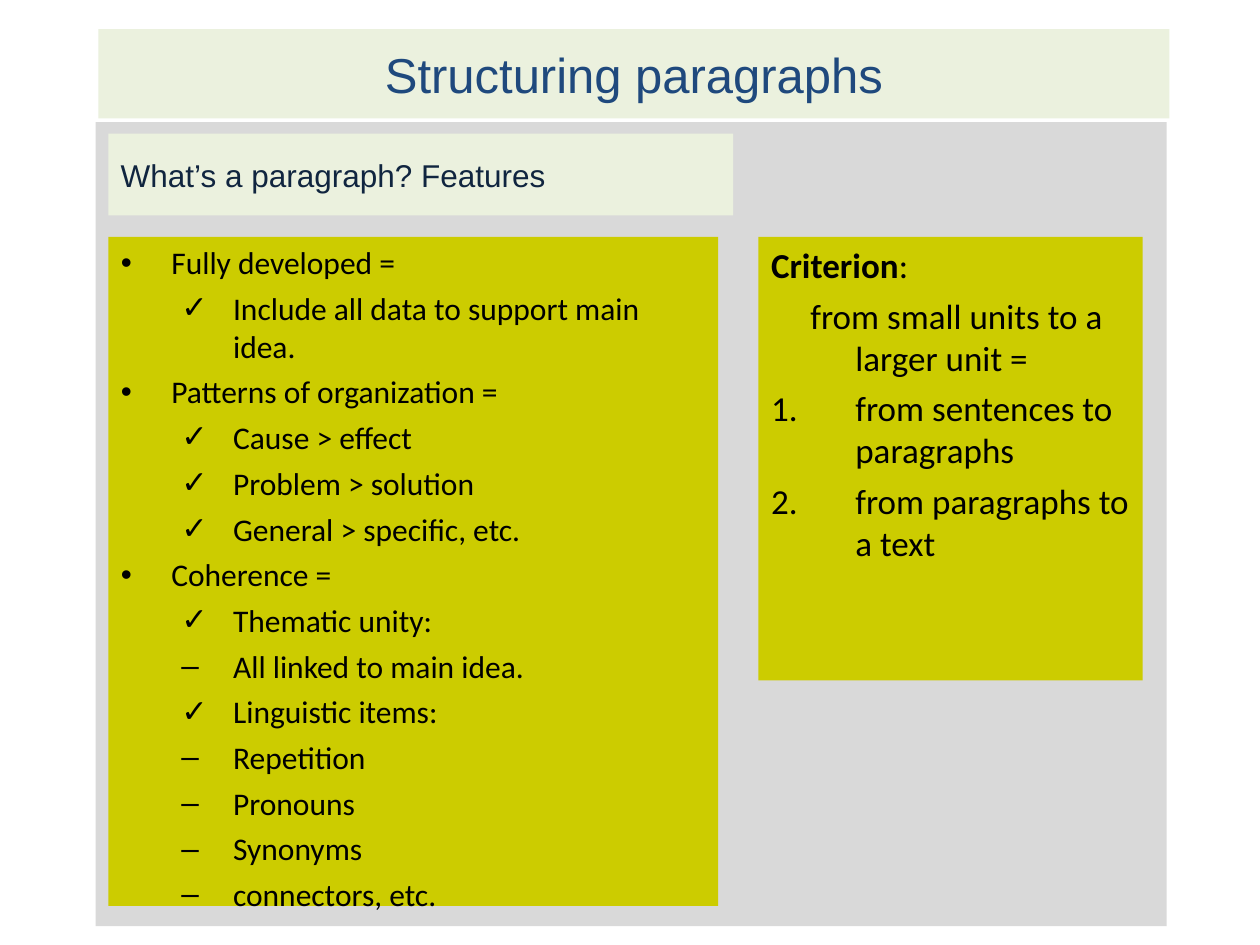
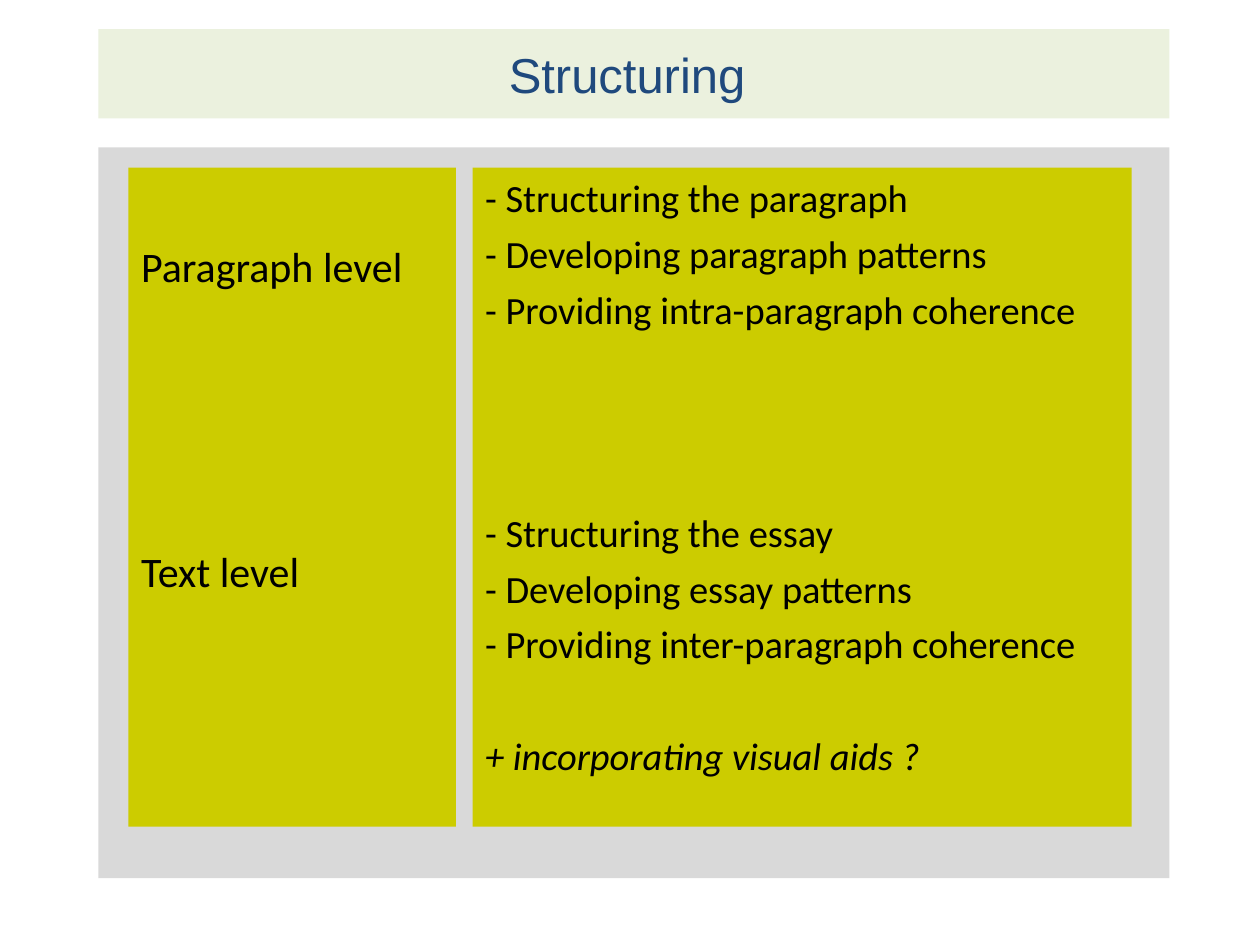
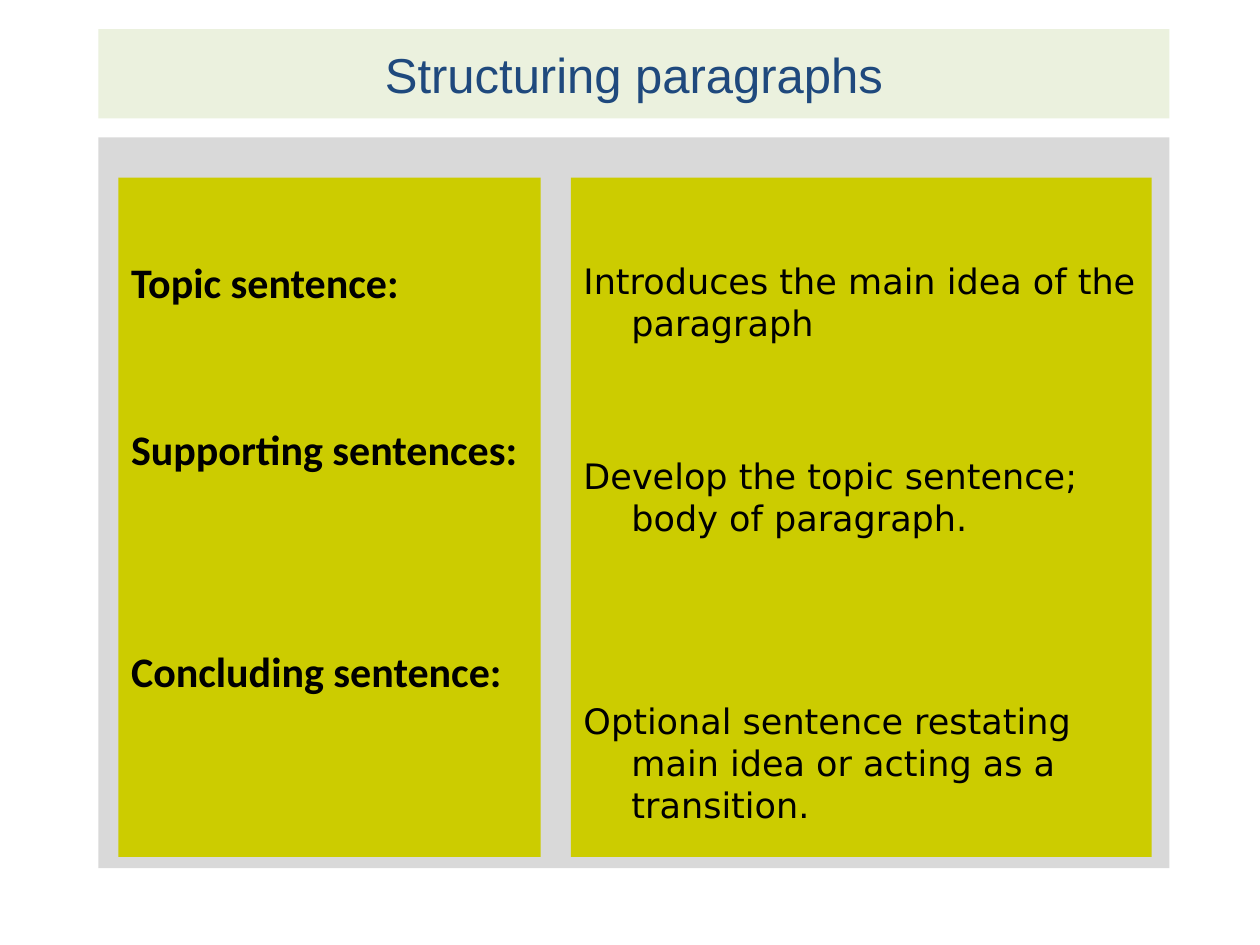
from dataclasses import dataclass

import pptx
import pptx.dml.color
import pptx.enum.shapes
import pptx.enum.text
import pptx.util
from pptx.oxml.xmlchemy import OxmlElement

Pt = pptx.util.Pt


@dataclass(frozen=True)
class Theme:
    band: str = "EBF1DE"
    panel: str = "D9D9D9"
    column: str = "CCCC00"
    title: str = "1F497D"
    subheading: str = "10253F"
    text: str = "000000"
    heading_font: str = "Arial"
    body_font: str = "Calibri"
    definition_font: str = "DejaVu Sans"
    title_size: float = 28
    subheading_size: float = 18
    line_height: float = 1.2
    inset_x: float = 7.2
    inset_y: float = 3.6


@dataclass(frozen=True)
class Box:
    x: float
    y: float
    w: float
    h: float

    def inner(self, x, y, w, h):
        """A box whose corner is offset from this one's corner."""
        return Box(self.x + x, self.y + y, w, h)


@dataclass(frozen=True)
class Indent:
    left: float = 0
    first: float = 0
    level: int = 0
    bullet: str = ""


@dataclass(frozen=True)
class TextStyle:
    size: float
    before: float
    font: str = Theme.body_font
    bold: bool = False


@dataclass(frozen=True)
class Item:
    text: str
    indent: Indent
    lines_skipped: int = 0
    bold: bool = False
    italic: bool = False
    tail: str = ""


THEME = Theme()
TITLE_BOX = Box(56.2, 16.6, 612, 51.1)
NUMBERED = "number"
TOPIC = Indent(28.8, -28.8, 0, "•")
CHECK = Indent(64.1, -29.5, 1, "✓")
DASH = Indent(64.1, -29.5, 1, "–")
HANGING = Indent(27.4, -27.4)
WIDE = Indent(48.2, -48.2)
WIDE_SHIFTED = Indent(48.2, -25.7)
NUMBER = Indent(48.2, -48.2, 0, NUMBERED)


def rgb(value):
    return pptx.dml.color.RGBColor.from_string(value)


def place(sp, box, fill):
    sp.left, sp.top, sp.width, sp.height = map(Pt, (box.x, box.y, box.w, box.h))
    sp.fill.solid()
    sp.fill.fore_color.rgb = rgb(fill)


def prepare_frame(sp, anchor, top_gap=0):
    tf = sp.text_frame
    tf.word_wrap = True
    tf.auto_size = pptx.enum.text.MSO_AUTO_SIZE.NONE
    tf.vertical_anchor = anchor
    tf.margin_left = tf.margin_right = Pt(THEME.inset_x)
    tf.margin_top = Pt(THEME.inset_y + top_gap)
    tf.margin_bottom = Pt(THEME.inset_y)
    return tf


def add_run(p, text, font, size, color, bold=False, italic=False):
    r = p.add_run()
    r.text = text
    r.font.name, r.font.size = font, Pt(size)
    r.font.bold, r.font.italic = bold, italic
    r.font.color.rgb = rgb(color)


def set_indent(p, indent):
    p.level = indent.level
    pPr = p._p.get_or_add_pPr()
    pPr.set("marL", str(int(Pt(indent.left))))
    pPr.set("indent", str(int(Pt(indent.first))))
    if not indent.bullet:
        pPr.append(OxmlElement("a:buNone"))
    elif indent.bullet == NUMBERED:
        number = OxmlElement("a:buAutoNum")
        number.set("type", "arabicPeriod")
        pPr.append(number)
    else:
        mark = OxmlElement("a:buChar")
        mark.set("char", indent.bullet)
        pPr.append(mark)


def add_rect(s, box, fill):
    sp = s.shapes.add_shape(pptx.enum.shapes.MSO_SHAPE.RECTANGLE, 0, 0, 0, 0)
    place(sp, box, fill)
    sp.line.fill.background()
    sp.shadow.inherit = False
    return sp


def fill_band(sp, box, text, size, color, align):
    place(sp, box, THEME.band)
    tf = prepare_frame(sp, pptx.enum.text.MSO_ANCHOR.MIDDLE)
    p = tf.paragraphs[0]
    p.alignment = align
    add_run(p, text, THEME.heading_font, size, color)


def fill_column(sp, box, items, style, top_gap=0):
    place(sp, box, THEME.column)
    tf = prepare_frame(sp, pptx.enum.text.MSO_ANCHOR.TOP, top_gap)
    line = style.size * THEME.line_height
    for i, item in enumerate(items):
        p = tf.add_paragraph() if i else tf.paragraphs[0]
        set_indent(p, item.indent)
        p.line_spacing = Pt(line)
        skipped = item.lines_skipped * (line + style.before)
        p.space_before = Pt(style.before + skipped if i else 0)
        p.space_after = Pt(0)
        add_run(p, item.text, style.font, style.size, THEME.text,
                style.bold or item.bold, item.italic)
        if item.tail:
            add_run(p, item.tail, style.font, style.size, THEME.text)


def add_two_column_slide(prs, title, panel_box):
    """Add the title band and grey panel; return the slide and its two columns."""
    s = prs.slides.add_slide(prs.slide_layouts[3])
    fill_band(s.shapes.title, TITLE_BOX, title, THEME.title_size, THEME.title,
              pptx.enum.text.PP_ALIGN.CENTER)
    panel = add_rect(s, panel_box, THEME.panel)
    s.shapes.title.element.addnext(panel.element)
    return s, s.placeholders[1], s.placeholders[2]


def add_features_slide(prs, panel):
    s, features, criterion = add_two_column_slide(prs, "Structuring paragraphs", panel)
    fill_column(features, panel.inner(7.2, 65.6, 348.5, 382.3), [
        Item("Fully developed =", TOPIC),
        Item("Include all data to support main idea.", CHECK),
        Item("Patterns of organization =", TOPIC),
        Item("Cause > effect", CHECK),
        Item("Problem > solution", CHECK),
        Item("General > specific, etc.", CHECK),
        Item("Coherence =", TOPIC),
        Item("Thematic unity:", CHECK),
        Item("All linked to main idea.", DASH),
        Item("Linguistic items:", CHECK),
        Item("Repetition", DASH),
        Item("Pronouns", DASH),
        Item("Synonyms", DASH),
        Item("connectors, etc.", DASH),
    ], TextStyle(18, 4.5))
    fill_column(criterion, panel.inner(378.7, 65.6, 219.6, 253.4), [
        Item("Criterion", WIDE, bold=True, tail=":"),
        Item("from small units to a larger unit =", WIDE_SHIFTED),
        Item("from sentences to paragraphs", NUMBER),
        Item("from paragraphs to a text", NUMBER),
    ], TextStyle(20, 5))
    subheading_box = panel.inner(7.2, 6.5, 357.1, 46.8)
    fill_band(add_rect(s, subheading_box, THEME.band), subheading_box,
              "What’s a paragraph? Features", THEME.subheading_size,
              THEME.subheading, pptx.enum.text.PP_ALIGN.LEFT)


def add_levels_slide(prs, panel):
    _, levels, tasks = add_two_column_slide(prs, "Structuring ", panel)
    fill_column(levels, panel.inner(17.2, 11.6, 187.2, 376.6), [
        Item("Paragraph level", HANGING),
        Item("Text level", HANGING, lines_skipped=4),
    ], TextStyle(24, 6), top_gap=38.2)
    fill_column(tasks, panel.inner(213.8, 11.6, 376.6, 376.6), [
        Item("- Structuring the paragraph", HANGING),
        Item("- Developing paragraph patterns", HANGING),
        Item("- Providing intra-paragraph coherence", HANGING),
        Item("- Structuring the essay", HANGING, lines_skipped=3),
        Item("- Developing essay patterns", HANGING),
        Item("- Providing inter-paragraph coherence", HANGING),
        Item("+ incorporating visual aids ?", HANGING, lines_skipped=1, italic=True),
    ], TextStyle(22, 5.5))


def add_sentences_slide(prs, panel):
    _, terms, definitions = add_two_column_slide(prs, "Structuring paragraphs", panel)
    fill_column(terms, panel.inner(11.5, 23, 241.2, 388.1), [
        Item("Topic sentence:", HANGING),
        Item("Supporting sentences:", HANGING, lines_skipped=2),
        Item("Concluding sentence:", HANGING, lines_skipped=3),
    ], TextStyle(24, 3, bold=True), top_gap=41.4)
    fill_column(definitions, panel.inner(270, 23, 331.9, 388.1), [
        Item("Introduces the main idea of the paragraph", HANGING),
        Item("Develop the topic sentence; body of paragraph.", HANGING, lines_skipped=2),
        Item("Optional sentence restating main idea or acting as a transition.",
             HANGING, lines_skipped=3),
    ], TextStyle(20, 5, THEME.definition_font), top_gap=43.4)


def main():
    prs = pptx.Presentation()
    prs.slide_width, prs.slide_height = Pt(720), Pt(540)
    add_features_slide(prs, Box(54.7, 69.8, 612, 459.4))
    add_levels_slide(prs, Box(56.2, 84.2, 612, 417.6))
    add_sentences_slide(prs, Box(56.2, 78.5, 612, 417.6))
    prs.save("out.pptx")


if __name__ == "__main__":
    main()
